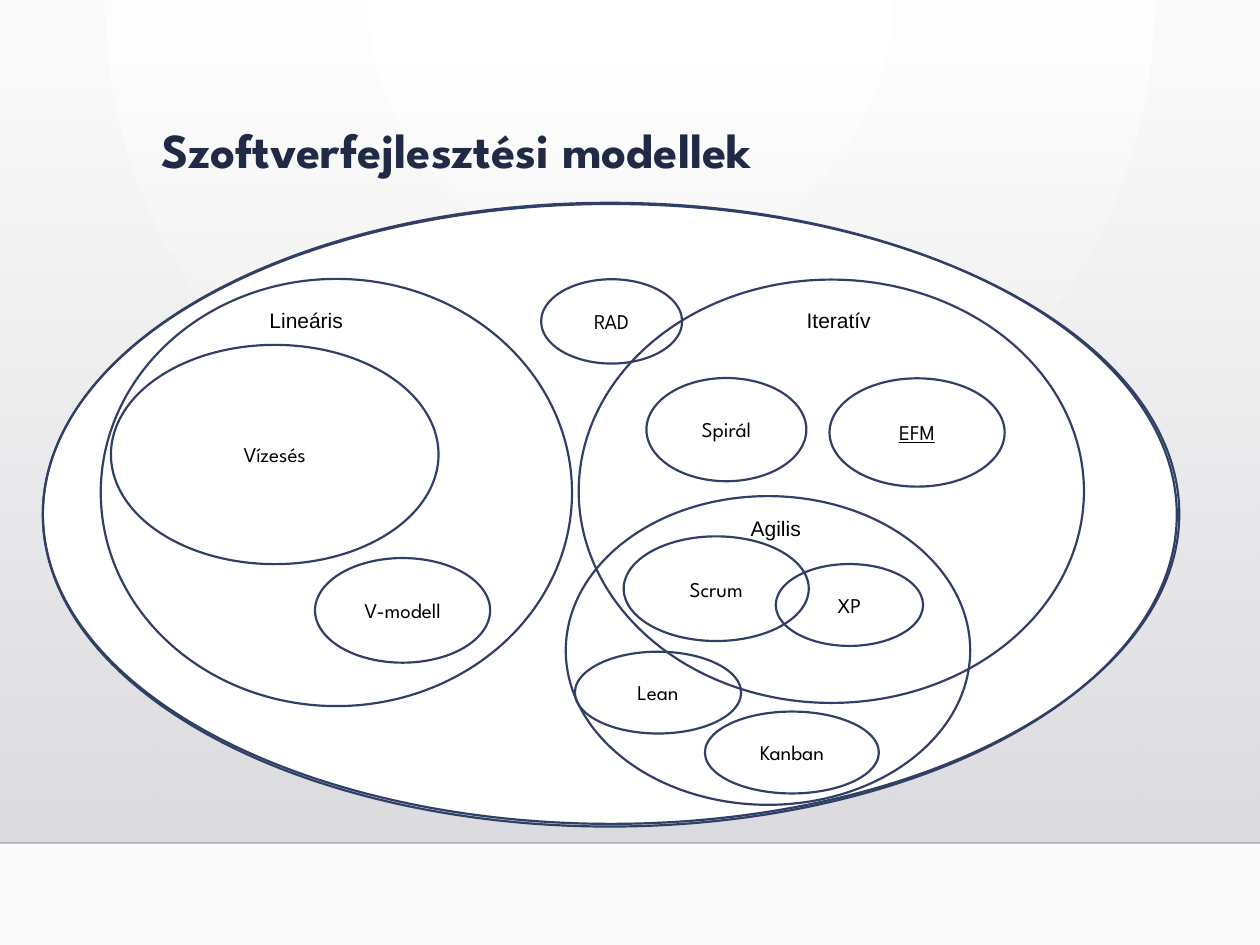
import pptx
import pptx.util
import pptx.dml.color
import pptx.enum.shapes
import pptx.enum.text
import pptx.oxml
import pptx.oxml.ns
import lxml.etree

Pt = pptx.util.Pt
qn = pptx.oxml.ns.qn
SHAPES = pptx.enum.shapes.MSO_SHAPE
ANCHOR = pptx.enum.text.MSO_ANCHOR
ALIGN = pptx.enum.text.PP_ALIGN

COLORS = {
    "white": "FFFFFF",
    "paper": "FAFAFA",
    "wall_top": "DCDCE0",
    "wall_bottom": "DEDEE2",
    "edge": "000001",
    "outline": "303F65",
    "title": "202A44",
    "text": "000000",
}
HEADING_FONT = "League Spartan"
LABEL_FONT = "Arial"
UNDERLINED_MODEL = "EFM"

SETS = [
    ("Lineáris", (33.1, 43.5, 269.3, 244.1), (122.4, 56.2, 73.4, 23)),
    ("Iteratív", (306.2, 43.9, 288.7, 241.9), (429.4, 56.2, 60.5, 23)),
    ("Agilis", (298.8, 167.6, 231.1, 176.4), (397.4, 175, 67, 23)),
]
MODELS = [
    ("Vízesés", (38.9, 81.2, 187.2, 125.3)),
    ("V-modell", (155.5, 203, 100.1, 59.8)),
    ("Spirál", (344.9, 100.1, 91.4, 59)),
    ("Scrum", (331.9, 190.6, 105.8, 59.8)),
    ("Kanban", (378.3, 290.7, 99.4, 46.8)),
    ("XP", (418.8, 206.4, 84.2, 46.8)),
    ("RAD", (284.7, 43.7, 80.6, 48.2)),
    (UNDERLINED_MODEL, (449.5, 100.3, 100.1, 61.9)),
    ("Lean", (304, 256.5, 95, 46.8)),
]


def rgb(name):
    return pptx.dml.color.RGBColor.from_string(COLORS[name])


def points(box):
    return [Pt(value) for value in box]


def inside(box, part):
    return (box[0] + part[0], box[1] + part[1], part[2], part[3])


def set_gradient(fill, first, last):
    fill.gradient()
    for stop, name in zip(fill.gradient_stops, (first, last)):
        stop.color.rgb = rgb(name)


def set_alpha(parent, percent):
    color = next(parent.iter(qn("a:srgbClr")))
    alpha = lxml.etree.SubElement(color, qn("a:alpha"))
    alpha.set("val", str(percent * 1000))


def style_text(para, font_name, size, color):
    para.font.name = font_name
    para.font.size = Pt(size)
    para.font.color.rgb = rgb(color)


def add_backdrop(page, box):
    left, top, width, height = box
    set_gradient(page.background.fill, "white", "paper")
    gradient = next(page.element.iter(qn("a:gradFill")))
    gradient.remove(gradient.find(qn("a:lin")))
    radial = lxml.etree.SubElement(gradient, qn("a:path"), path="circle")
    lxml.etree.SubElement(radial, qn("a:fillToRect"), l="43000", r="43000", b="100000")

    wall = page.shapes.add_shape(SHAPES.RECTANGLE, *points(box))
    wall.shadow.inherit = False
    wall.line.fill.background()
    set_gradient(wall.fill, "wall_top", "wall_bottom")
    wall.fill.gradient_angle = 270
    set_alpha(wall.element.spPr, 0)

    bottom = Pt(top + height)
    edge = page.shapes.add_connector(
        pptx.enum.shapes.MSO_CONNECTOR.STRAIGHT, Pt(left), bottom, Pt(left + width), bottom)
    edge.line.color.rgb = rgb("edge")
    edge.line.width = Pt(1)
    properties = edge.element.spPr
    set_alpha(properties, 20)
    lxml.etree.SubElement(properties, qn("a:effectLst"))


def add_title(page, box):
    title = page.shapes.title
    title.left, title.top, title.width, title.height = points(box)
    frame = title.text_frame
    frame.text = "Szoftverfejlesztési modellek"
    frame.vertical_anchor = ANCHOR.TOP
    para = frame.paragraphs[0]
    para.alignment = ALIGN.LEFT
    para.line_spacing = 0.9
    style_text(para, HEADING_FONT, 27.9, "title")
    para.font.bold = True
    page.shapes.element.append(title.element)


def add_ellipse(shapes, box, fill=None):
    ellipse = shapes.add_shape(SHAPES.OVAL, *points(box))
    ellipse.shadow.inherit = False
    if fill:
        ellipse.fill.solid()
        ellipse.fill.fore_color.rgb = rgb(fill)
    else:
        ellipse.fill.background()
    ellipse.line.color.rgb = rgb("outline")
    ellipse.line.width = Pt(1.25)
    return ellipse


def add_set(shapes, name, box, label_box):
    add_ellipse(shapes, box)
    label = shapes.add_textbox(*points(label_box))
    label.text_frame.word_wrap = True
    label.text_frame.text = name
    style_text(label.text_frame.paragraphs[0], LABEL_FONT, 12, "text")


def add_model(shapes, name, box):
    frame = add_ellipse(shapes, box).text_frame
    frame.text = name
    frame.vertical_anchor = ANCHOR.MIDDLE
    para = frame.paragraphs[0]
    para.alignment = ALIGN.CENTER
    style_text(para, HEADING_FONT, 12, "text")
    if name == UNDERLINED_MODEL:
        para.font.underline = True


def add_diagram(page, box):
    shapes = page.shapes.add_group_shape().shapes
    add_ellipse(shapes, box)
    for name, ellipse_box, label_box in SETS:
        add_set(shapes, name, inside(box, ellipse_box), inside(box, label_box))
    for name, ellipse_box in MODELS:
        add_model(shapes, name, inside(box, ellipse_box))


def main():
    deck = pptx.Presentation()
    deck.slide_width, deck.slide_height = Pt(720), Pt(540)
    page = deck.slides.add_slide(deck.slide_layouts[5])
    add_backdrop(page, (0, 36.7, 720, 445))
    add_ellipse(page.shapes, (24.5, 116.6, 649.4, 354.2), "white")
    add_title(page, (85, 68.4, 495.4, 77))
    add_diagram(page, (24.5, 115.9, 648, 356.4))
    deck.save("out.pptx")


if __name__ == "__main__":
    main()
